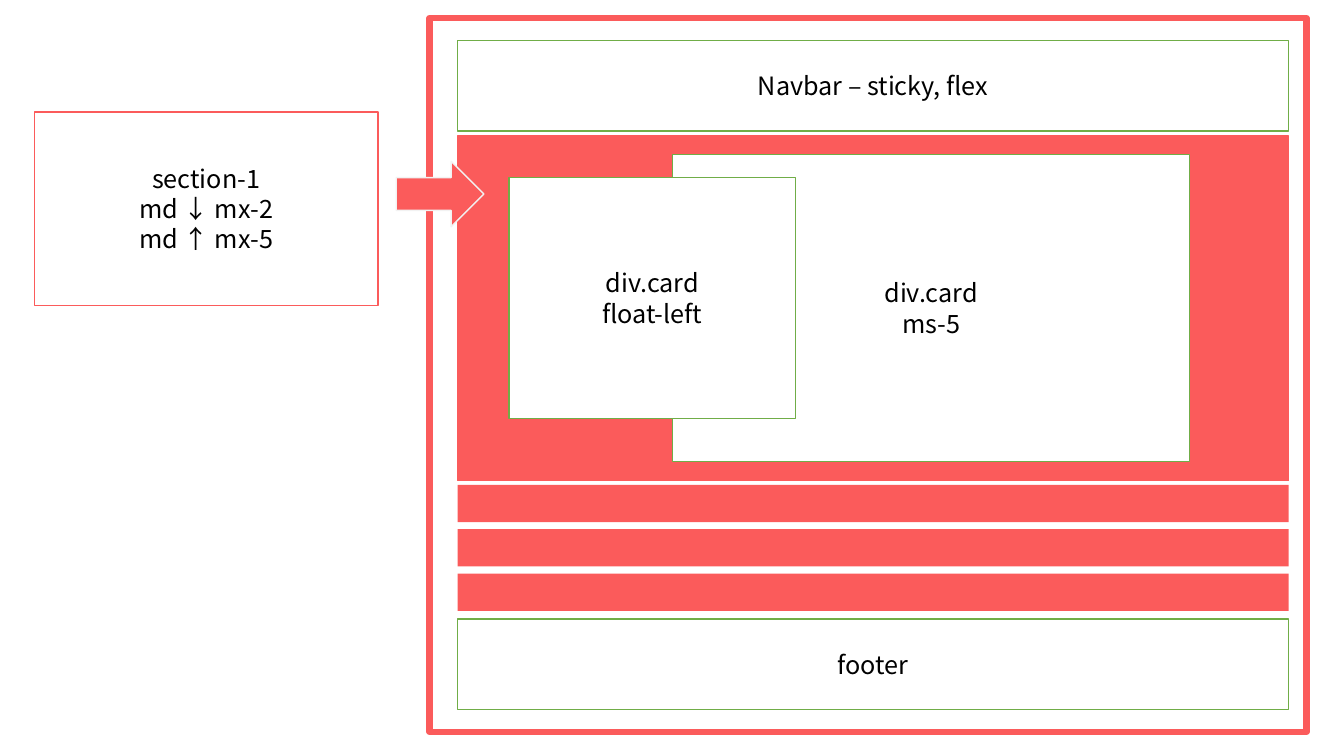
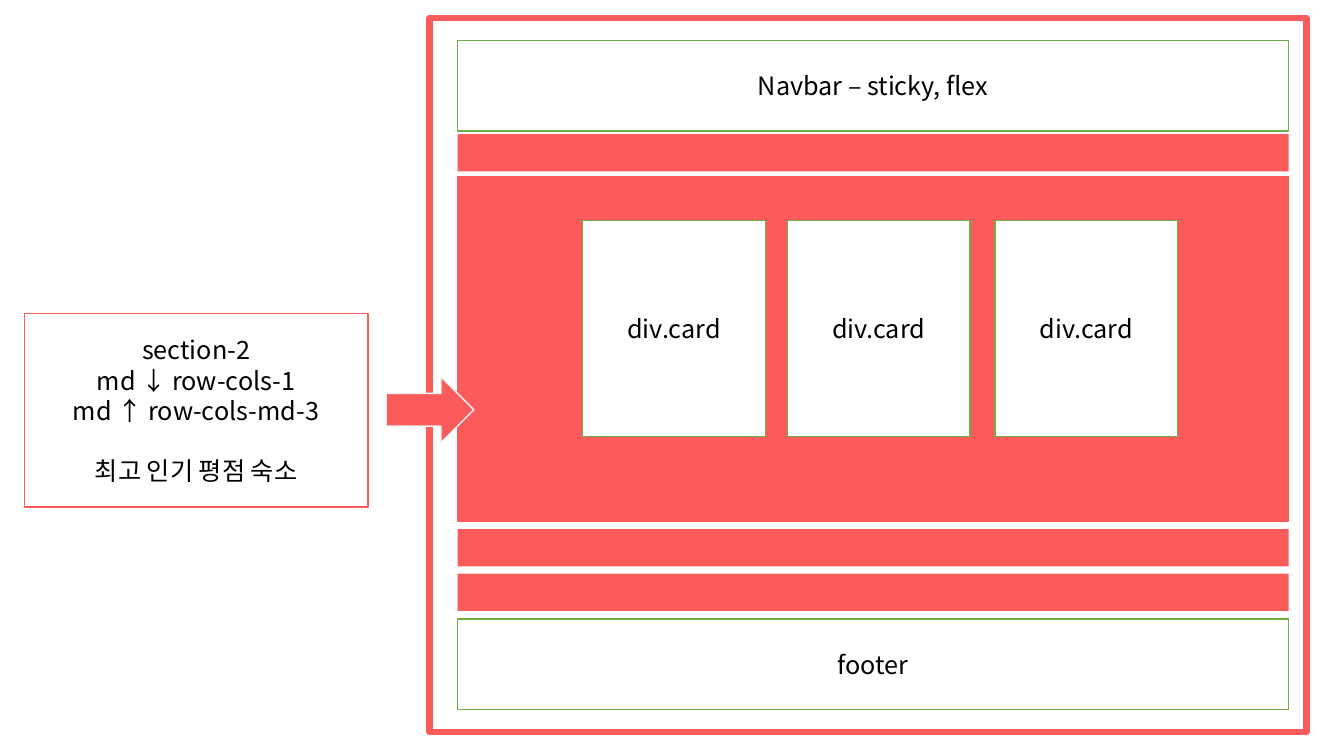
"""Build two page-layout sketches of a web page and its sections."""
from pptx import Presentation
from pptx.dml.color import RGBColor
from pptx.enum.shapes import MSO_SHAPE
from pptx.enum.text import MSO_ANCHOR, PP_ALIGN
from pptx.util import Inches, Pt

FONT = "Noto Sans CJK KR"
CORAL, GREEN, WHITE, BLACK, PALE = "FB5B5B", "70AD47", "FFFFFF", "000000", "F2F2F2"
LEFT, WIDE = 4.54, 8.24
BAR, STEP, LAST = 0.37, 0.44, 5.69
PAGES = [
    {
        "main": 1.35,
        "bars": [LAST - n * STEP for n in (2, 1, 0)],
        "cards": [
            ((6.67, 1.53, 5.13, 3.05), ["div.card", "ms-5"]),
            ((5.05, 1.76, 2.84, 2.39), ["div.card", "float-left"]),
        ],
        "note": (0.34, 1.11),
        "arrow": 1.6,
        "lines": ["section-1", "md ↓ mx-2", "md ↑ mx-5"],
        "extra": None,
    },
    {
        "main": 1.75,
        "bars": [1.33, LAST - STEP, LAST],
        "cards": [((x, 2.19, 1.81, 2.14), ["div.card"]) for x in (5.78, 7.81, 9.87)],
        "note": (0.24, 3.11),
        "arrow": 3.74,
        "lines": ["section-2", "md ↓ row-cols-1", "md ↑ row-cols-md-3"],
        "extra": "최고 인기 평점 숙소",
    },
]


def color(code):
    return RGBColor.from_string(code)


def write(frame, lines, extra=None):
    frame.vertical_anchor = MSO_ANCHOR.MIDDLE
    texts = lines + [extra] if extra else lines
    for i, text in enumerate(texts):
        para = frame.paragraphs[0] if i == 0 else frame.add_paragraph()
        para.text = text
        para.alignment = PP_ALIGN.CENTER
        para.font.size = Pt(18)
        para.font.name = FONT
        para.font.color.rgb = color(BLACK)
    if extra:
        para.space_before = Pt(21.6)


def box(slide, at, fill=None, line=None, width=1, kind=MSO_SHAPE.RECTANGLE):
    shape = slide.shapes.add_shape(kind, *map(Inches, at))
    shape.shadow.inherit = False
    if fill:
        shape.fill.solid()
        shape.fill.fore_color.rgb = color(fill)
    else:
        shape.fill.background()
    if line:
        shape.line.color.rgb = color(line)
        shape.line.width = Pt(width)
    else:
        shape.line.fill.background()
    return shape


def panel(slide, at, lines, edge=GREEN, extra=None):
    write(box(slide, at, WHITE, edge).text_frame, lines, extra)


def draw(slide, page):
    box(slide, (LEFT, page["main"], WIDE, 3.42), CORAL, CORAL)
    box(slide, (4.26, 0.18, 8.7, 7.08), line=CORAL, width=4.5)
    panel(slide, (LEFT, 0.4, WIDE, 0.9), ["Navbar – sticky, flex"])
    for at, lines in page["cards"]:
        panel(slide, at, lines)
    for top in page["bars"]:
        box(slide, (LEFT, top, WIDE, BAR), CORAL)
    x, y = page["note"]
    box(slide, (x + 3.59, page["arrow"], 0.87, 0.65), CORAL, PALE, kind=MSO_SHAPE.RIGHT_ARROW)
    panel(slide, (x, y, 3.41, 1.92), page["lines"], CORAL, page["extra"])
    panel(slide, (LEFT, 6.14, WIDE, 0.9), ["footer"])


deck = Presentation()
deck.slide_width, deck.slide_height = Inches(13.33), Inches(7.5)
for page in PAGES:
    draw(deck.slides.add_slide(deck.slide_layouts[6]), page)
deck.save("out.pptx")
